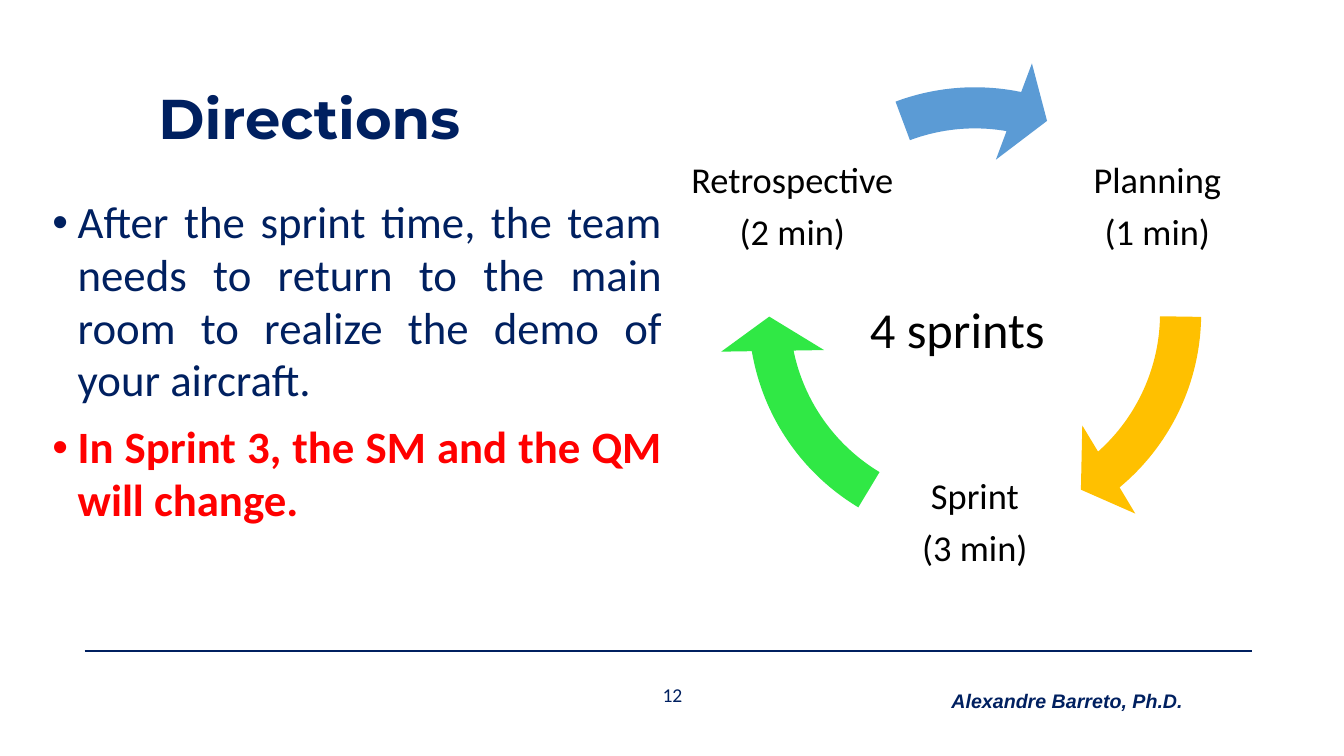
from dataclasses import dataclass
from math import cos, radians, sin
from typing import Any

from lxml.etree import SubElement
from pptx import Presentation
from pptx.dml.color import RGBColor
from pptx.enum.shapes import MSO_CONNECTOR, MSO_SHAPE
from pptx.enum.text import MSO_ANCHOR, MSO_AUTO_SIZE, PP_ALIGN
from pptx.oxml.ns import qn
from pptx.shapes.base import BaseShape
from pptx.slide import Slide
from pptx.text.text import TextFrame
from pptx.util import Inches, Pt

SLIDE_WIDTH, SLIDE_HEIGHT = Inches(13.33), Inches(7.5)


@dataclass(frozen=True)
class Theme:
    navy: str = "002060"
    black: str = "000000"
    red: str = "FF0000"
    amber: str = "FFC000"
    green: str = "30E845"
    blue: str = "5B9BD5"
    heading_font: str = "Montserrat"
    text_font: str = "Calibri"
    footer_font: str = "Arial"
    title_size: int = 40
    centre_size: int = 36
    body_size: int = 32
    stage_size: int = 26
    footer_size: int = 14


THEME = Theme()


@dataclass(frozen=True)
class Box:
    """A place given in percent of the slide's width and height."""
    left: float
    top: float
    width: float
    height: float

    def emu(self) -> tuple[int, int, int, int]:
        return (across(self.left), down(self.top),
                across(self.width), down(self.height))


@dataclass(frozen=True)
class Style:
    font: str
    size: int
    color: str
    bold: bool = False
    italic: bool = False


@dataclass(frozen=True)
class Stage:
    """A cycle stage; angles are degrees clockwise from the right."""
    name: str
    minutes: int
    angle: float
    arrow_color: str
    arrow_tail: float
    arrow_tip: float


def across(percent: float) -> int:
    return round(SLIDE_WIDTH * percent / 100)


def down(percent: float) -> int:
    return round(SLIDE_HEIGHT * percent / 100)


def centred(x: float, y: float, width: float, height: float) -> Box:
    return Box(x - width / 2, y - height / 2, width, height)


CYCLE_X, CYCLE_Y = 72.54, 41.47
ORBIT_X, ORBIT_Y = 15.68, 27.87
RING = centred(CYCLE_X, CYCLE_Y, 38.26, 68)

STAGES = (
    Stage("Planning", 1, -30, THEME.amber, 0.87, 49.38),
    Stage("Sprint", 3, 90, THEME.green, 121.01, 169.52),
    Stage("Retrospective", 2, 210, THEME.blue, 249.46, 280.93),
)
DIRECTIONS = (
    ("After the sprint time, the team needs to return to the main room "
     "to realize the demo of your aircraft.",
     Style(THEME.text_font, THEME.body_size, THEME.navy)),
    ("In Sprint 3, the SM and the QM will change.",
     Style(THEME.text_font, THEME.body_size, THEME.red, bold=True)),
)


def apply(target: Any, formats: dict[str, Any]) -> None:
    for attribute, setting in formats.items():
        setattr(target, attribute, setting)


def write(frame: TextFrame, lines: list[tuple[str, Style]],
          bulleted: bool = False, **formats: Any) -> None:
    apply(frame, {"word_wrap": True, "auto_size": MSO_AUTO_SIZE.NONE})
    for index, (words, style) in enumerate(lines):
        paragraph = frame.add_paragraph() if index else frame.paragraphs[0]
        paragraph.text = words
        if bulleted:
            add_bullet(paragraph)
        apply(paragraph, formats)
        if index == 0:
            paragraph.space_before = Pt(0)
        apply(paragraph.font, {"name": style.font, "size": Pt(style.size),
                               "bold": style.bold, "italic": style.italic})
        paragraph.font.color.rgb = RGBColor.from_string(style.color)


def add_bullet(paragraph: Any) -> None:
    properties = paragraph._p.get_or_add_pPr()
    properties.set("marL", str(Inches(0.25)))
    properties.set("indent", str(-Inches(0.25)))
    SubElement(properties, qn("a:buFont"), typeface="Arial")
    SubElement(properties, qn("a:buChar"), char="•")


def move(shape: BaseShape, box: Box) -> None:
    apply(shape, dict(zip(("left", "top", "width", "height"), box.emu())))


def add_label(slide: Slide, box: Box, lines: list[str], style: Style,
              anchor: MSO_ANCHOR = MSO_ANCHOR.TOP, **formats: Any) -> TextFrame:
    frame = slide.shapes.add_textbox(*box.emu()).text_frame
    write(frame, [(line, style) for line in lines],
          alignment=PP_ALIGN.CENTER, **formats)
    frame.vertical_anchor = anchor
    return frame


def add_footer(slide: Slide) -> None:
    rule = slide.shapes.add_connector(
        MSO_CONNECTOR.STRAIGHT, across(6.3), down(86.13), across(93.17), down(86.13))
    rule.line.color.rgb = RGBColor.from_string(THEME.navy)
    rule.line.width = Pt(1.5)
    SubElement(rule._element.spPr, qn("a:effectLst"))
    add_label(slide, Box(43.59, 90.53, 12.9, 2.67), ["12"],
              Style(THEME.text_font, THEME.footer_size, THEME.navy), MSO_ANCHOR.MIDDLE)
    add_label(slide, Box(65.64, 90.53, 27.53, 4.53), ["Alexandre Barreto, Ph.D."],
              Style(THEME.footer_font, THEME.footer_size, THEME.navy, True, True))


def add_stage(slide: Slide, stage: Stage) -> None:
    """Draw a stage's label on the orbit and the arrow leading on from it."""
    turn = radians(stage.angle)
    label = centred(CYCLE_X + ORBIT_X * cos(turn), CYCLE_Y + ORBIT_Y * sin(turn),
                    16.2, 28.8)
    frame = add_label(slide, label, [stage.name, f"({stage.minutes} min)"],
                      Style(THEME.text_font, THEME.stage_size, THEME.black),
                      MSO_ANCHOR.MIDDLE, line_spacing=0.9,
                      space_after=Pt(0.35 * THEME.stage_size))
    apply(frame, {f"margin_{side}": Inches(0.04)
                  for side in ("left", "top", "right", "bottom")})

    arrow = slide.shapes.add_shape(MSO_SHAPE.CIRCULAR_ARROW, *RING.emu())
    arrow.shadow.inherit = False
    arrow.fill.solid()
    arrow.fill.fore_color.rgb = RGBColor.from_string(stage.arrow_color)
    arrow.line.fill.background()
    # Angles are stored in 60000ths of a degree, adjustments in 100000ths.
    shares = (0.08, 9.6 * 0.6, stage.arrow_tip * 0.6, stage.arrow_tail * 0.6, 0.1)
    for index, share in enumerate(shares):
        arrow.adjustments[index] = share


def main() -> None:
    deck = Presentation()
    apply(deck, {"slide_width": SLIDE_WIDTH, "slide_height": SLIDE_HEIGHT})
    slide = deck.slides.add_slide(deck.slide_layouts[1])
    add_footer(slide)

    title, body = slide.shapes.title, slide.placeholders[1]
    move(title, Box(11.04, 1.33, 27.91, 29.33))
    write(title.text_frame,
          [("Directions", Style(THEME.heading_font, THEME.title_size, THEME.navy, True))],
          alignment=PP_ALIGN.LEFT, line_spacing=0.9)
    title.text_frame.vertical_anchor = MSO_ANCHOR.MIDDLE
    move(body, Box(3.15, 25.33, 46.89, 56.4))
    write(body.text_frame, list(DIRECTIONS), bulleted=True,
          alignment=PP_ALIGN.JUSTIFY, line_spacing=0.98, space_before=Pt(10))

    for stage in STAGES:
        add_stage(slide, stage)
    add_label(slide, Box(62.79, 38.8, 16.88, 9.47), ["4 sprints"],
              Style(THEME.text_font, THEME.centre_size, THEME.black))
    deck.save("out.pptx")


if __name__ == "__main__":
    main()
